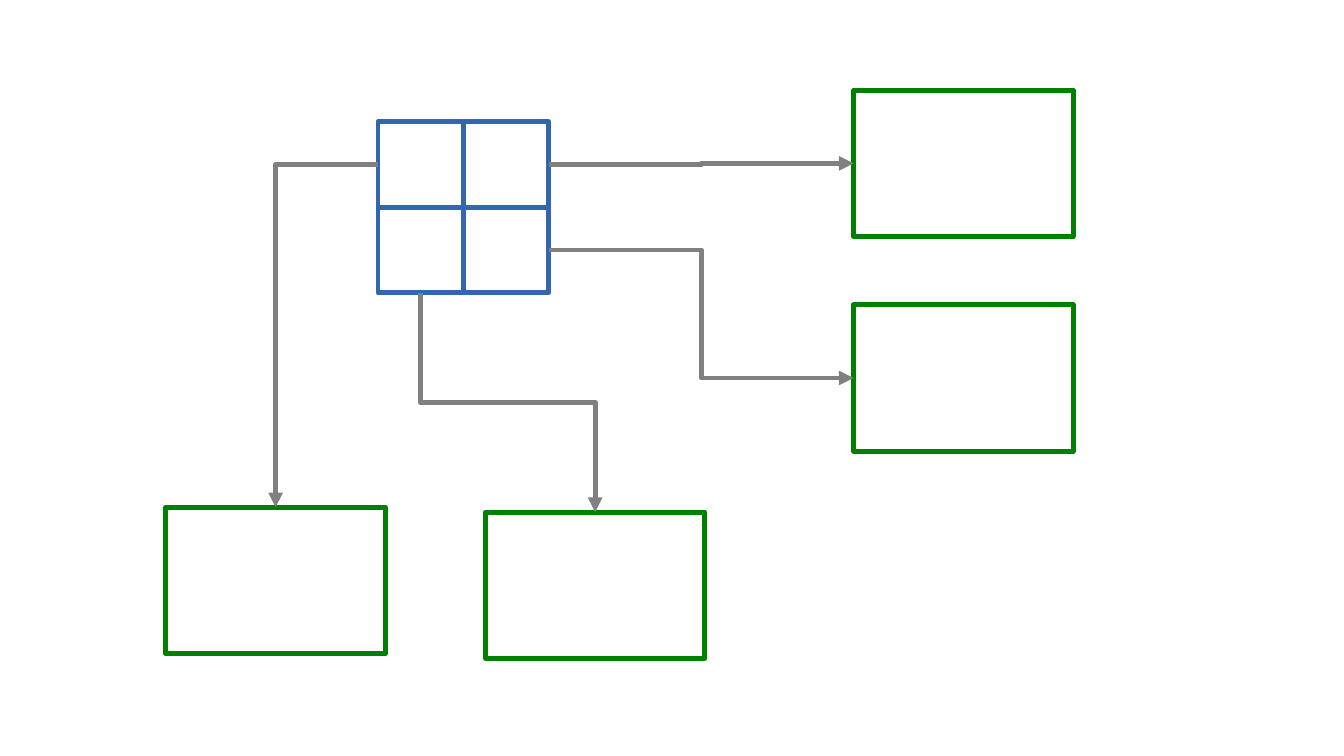
import pptx
import pptx.dml.color
import pptx.enum.shapes
import pptx.oxml
import pptx.oxml.ns
import pptx.util
from dataclasses import dataclass

Inches = pptx.util.Inches
TOP, LEFT, BOTTOM, RIGHT = range(4)


@dataclass
class Theme:
    paper: str = "FFFFFF"
    grid: str = "3465AF"
    target: str = "008000"
    arrow: str = "808080"
    line_width: float = 2.89


class Diagram:
    def __init__(self, slide, theme):
        self.slide = slide
        self.theme = theme

    def outline(self, line, color):
        line.color.rgb = pptx.dml.color.RGBColor.from_string(color)
        line.width = pptx.util.Pt(self.theme.line_width)

    def box(self, left, top, width, height, color):
        box = self.slide.shapes.add_shape(
            pptx.enum.shapes.MSO_SHAPE.RECTANGLE,
            Inches(left), Inches(top), Inches(width), Inches(height))
        box.shadow.inherit = False
        box.fill.solid()
        box.fill.fore_color.rgb = pptx.dml.color.RGBColor.from_string(self.theme.paper)
        self.outline(box.line, color)
        return box

    def arrow(self, source, source_side, target, target_side):
        """Join two boxes with an elbow arrow that leaves its source at a right angle."""
        arrow = self.slide.shapes.add_connector(
            pptx.enum.shapes.MSO_CONNECTOR.ELBOW, 0, 0, 0, 0)
        arrow.begin_connect(source, source_side)
        arrow.end_connect(target, target_side)
        self.outline(arrow.line, self.theme.arrow)
        properties = arrow._element.spPr
        qn = pptx.oxml.ns.qn
        frame = properties.find(qn("a:xfrm"))

        # Leaving downwards: a quarter turn about the centre
        if source_side == BOTTOM:
            width, height = arrow.width, arrow.height
            arrow.left += (width - height) // 2
            arrow.top += (height - width) // 2
            arrow.width, arrow.height = height, width
            frame.set("rot", "16200000")
            frame.set("flipH", "1")
        # Leaving left and entering from above: a single bend
        elif source_side == LEFT:
            properties.find(qn("a:prstGeom")).set("prst", "bentConnector2")
            frame.attrib.pop("flipH", None)
            frame.set("rot", "10800000")
            frame.set("flipV", "1")

        namespace = pptx.oxml.ns.nsdecls("a")
        properties.find(qn("a:ln")).append(
            pptx.oxml.parse_xml(f'<a:tailEnd {namespace} type="triangle"/>'))
        properties.append(pptx.oxml.parse_xml(f"<a:effectLst {namespace}/>"))


def main():
    presentation = pptx.Presentation()
    presentation.slide_width = Inches(11.02)
    presentation.slide_height = Inches(6.2)
    theme = Theme()
    diagram = Diagram(
        presentation.slides.add_slide(presentation.slide_layouts[6]), theme)

    # Two-by-two grid
    cell = 0.7
    top_left, top_right, bottom_left, bottom_right = [
        diagram.box(3.1 + column * cell, 1 + row * cell, cell, cell, theme.grid)
        for row in range(2) for column in range(2)]

    # Target boxes
    upper_right, lower_right, lower_middle, lower_left = [
        diagram.box(left, top, 1.8, 1.2, theme.target)
        for left, top in [(7, 0.74), (7, 2.5), (3.98, 4.2), (1.36, 4.16)]]

    # Arrows from each cell to its target
    diagram.arrow(top_left, LEFT, lower_left, TOP)
    diagram.arrow(bottom_left, BOTTOM, lower_middle, TOP)
    diagram.arrow(bottom_right, RIGHT, lower_right, LEFT)
    diagram.arrow(top_right, RIGHT, upper_right, LEFT)

    presentation.save("out.pptx")


if __name__ == "__main__":
    main()
